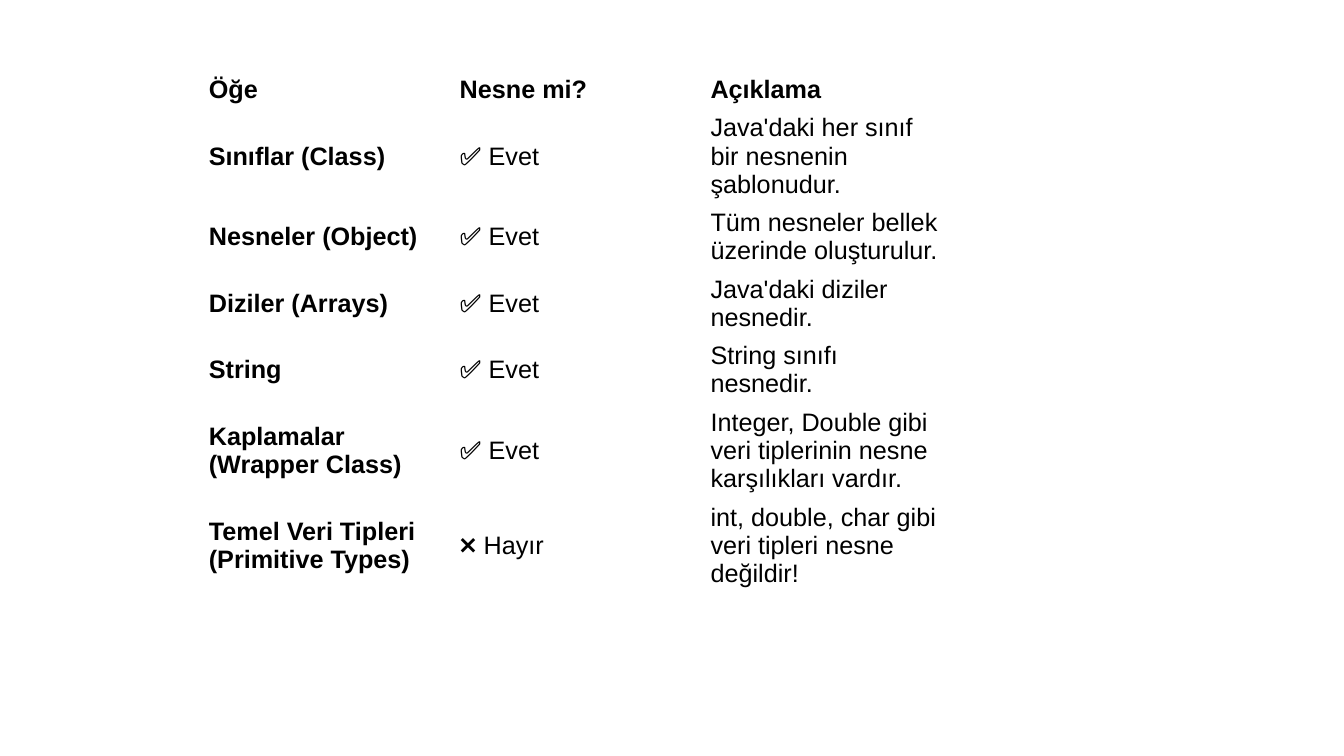
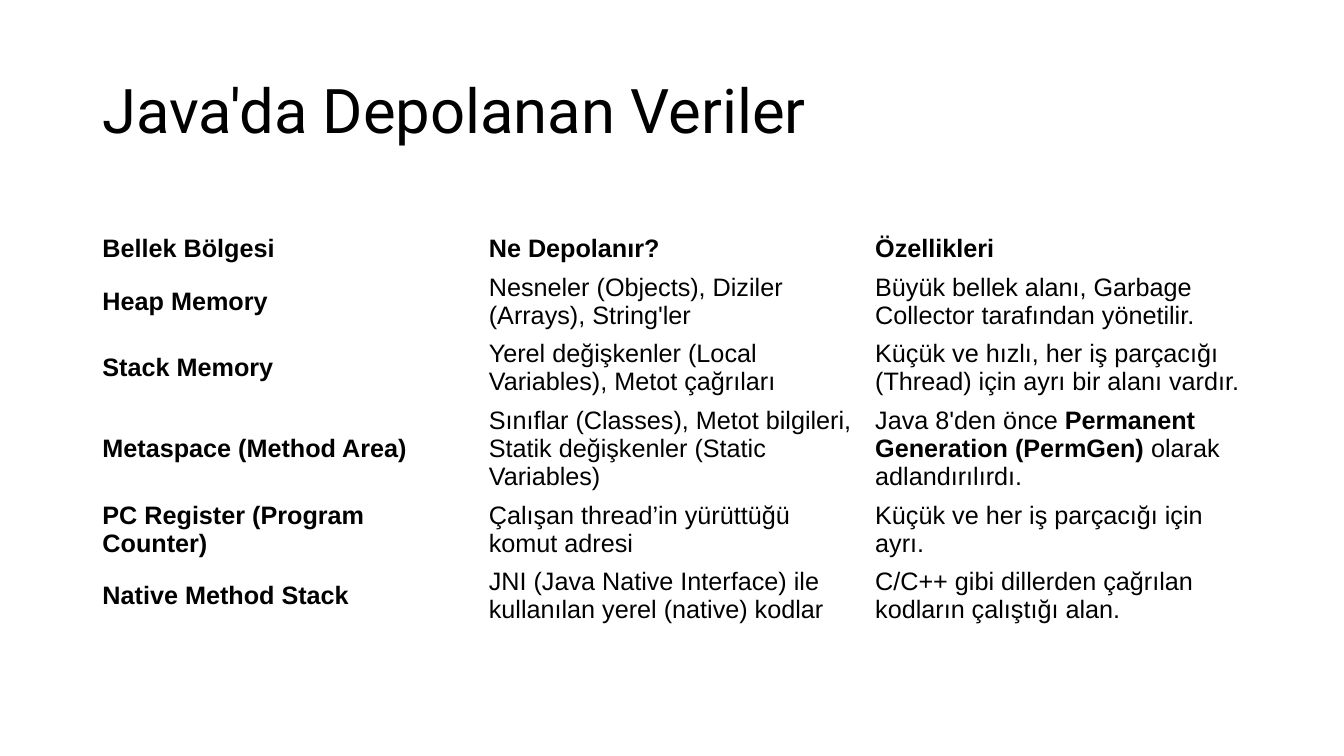
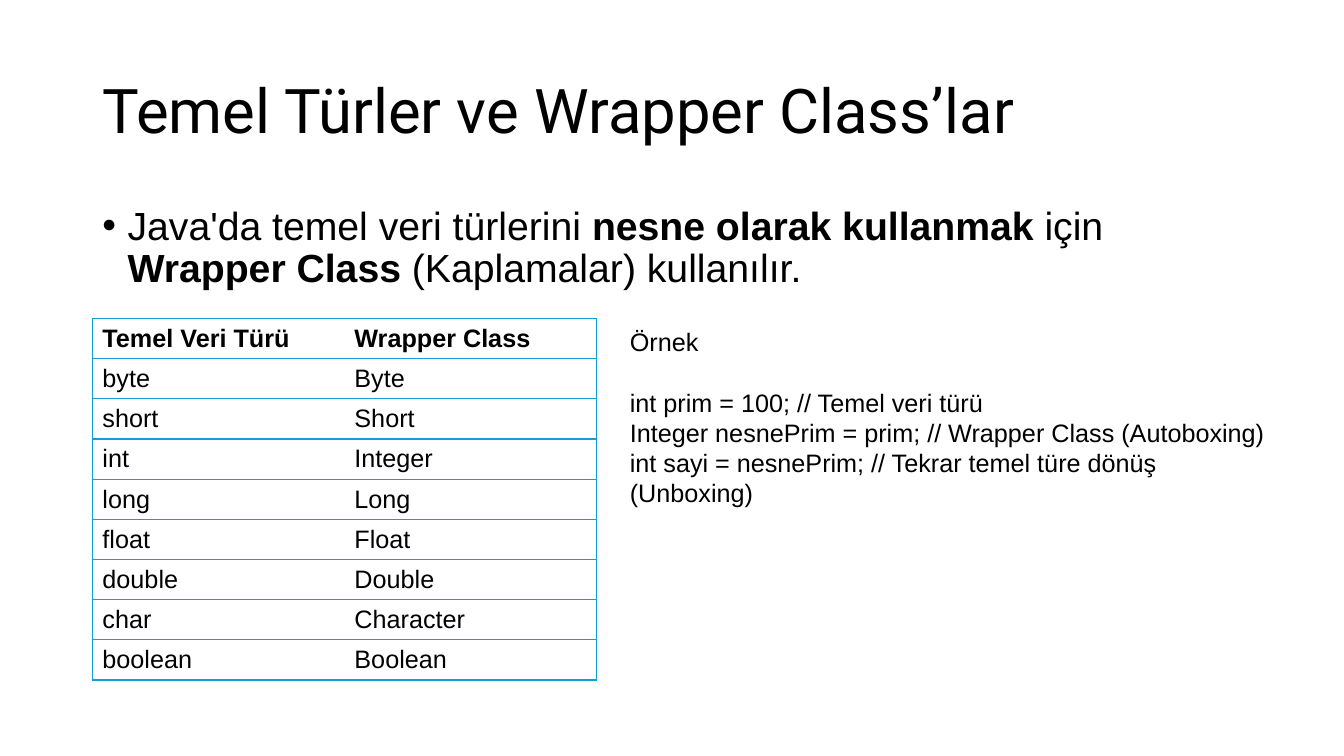
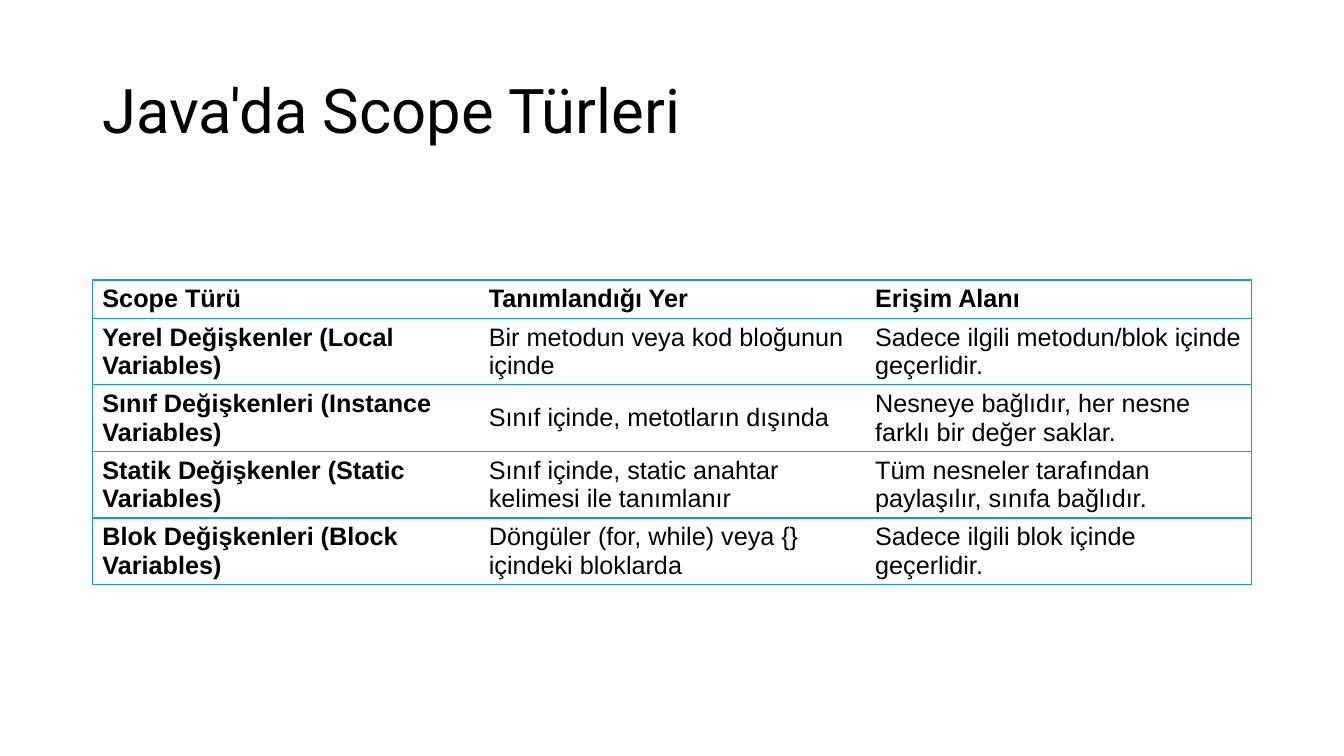
from lxml import etree
from pptx import Presentation
from pptx.dml.color import RGBColor
from pptx.enum.text import MSO_ANCHOR, MSO_AUTO_SIZE, PP_ALIGN
from pptx.oxml.ns import qn
from pptx.util import Pt

BLACK, WHITE, BLUE = "000000", "FFFFFF", "0F9ED5"
BODY_FONT, TITLE_FONT = "Arial", "Roboto"
LEFT, WIDTH = 66, 828
PLAIN_STYLE = "{2D5ABB26-0587-4C30-8999-92F81FD0307C}"
BLANK, TITLE_ONLY, TITLE_AND_BODY = 6, 5, 1

INTRO = ("Java'da temel veri türlerini **nesne olarak kullanmak** için "
         "**Wrapper Class** (Kaplamalar) kullanılır.")
EXAMPLE = [
    "Örnek",
    "int prim = 100; // Temel veri türü",
    "Integer nesnePrim = prim; // Wrapper Class (Autoboxing)",
    "int sayi = nesnePrim; // Tekrar temel türe dönüş (Unboxing)",
]

SLIDES = [
    {
        "layout": BLANK,
        "table": {"left": 142, "top": 50.4, "column": 179.2, "row": 18,
                  "bold_names": True, "lined": False},
        "rows": [
            ("Öğe", "Nesne mi?", "Açıklama"),
            ("Sınıflar (Class)", "✅ Evet", "Java'daki her sınıf bir nesnenin şablonudur."),
            ("Nesneler (Object)", "✅ Evet", "Tüm nesneler bellek üzerinde oluşturulur."),
            ("Diziler (Arrays)", "✅ Evet", "Java'daki diziler nesnedir."),
            ("String", "✅ Evet", "String sınıfı nesnedir."),
            ("Kaplamalar (Wrapper Class)", "✅ Evet",
             "Integer, Double gibi veri tiplerinin nesne karşılıkları vardır."),
            ("Temel Veri Tipleri (Primitive Types)", "❌ Hayır",
             "int, double, char gibi veri tipleri nesne değildir!"),
        ],
    },
    {
        "layout": TITLE_ONLY,
        "title": "Java'da Depolanan Veriler",
        "table": {"left": LEFT, "top": 164.2, "column": WIDTH / 3, "row": 18,
                  "bold_names": True, "lined": False},
        "rows": [
            ("Bellek Bölgesi", "Ne Depolanır?", "Özellikleri"),
            ("Heap Memory", "Nesneler (Objects), Diziler (Arrays), String'ler",
             "Büyük bellek alanı, Garbage Collector tarafından yönetilir."),
            ("Stack Memory", "Yerel değişkenler (Local Variables), Metot çağrıları",
             "Küçük ve hızlı, her iş parçacığı (Thread) için ayrı bir alanı vardır."),
            ("Metaspace (Method Area)",
             "Sınıflar (Classes), Metot bilgileri, Statik değişkenler (Static Variables)",
             "Java 8'den önce **Permanent Generation (PermGen)** olarak adlandırılırdı."),
            ("PC Register (Program Counter)", "Çalışan thread’in yürüttüğü komut adresi",
             "Küçük ve her iş parçacığı için ayrı."),
            ("Native Method Stack",
             "JNI (Java Native Interface) ile kullanılan yerel (native) kodlar",
             "C/C++ gibi dillerden çağrılan kodların çalıştığı alan."),
        ],
    },
    {
        "layout": TITLE_AND_BODY,
        "title": "Temel Türler ve Wrapper Class’lar",
        "intro": INTRO,
        "example": EXAMPLE,
        "table": {"left": LEFT, "top": 227.5, "column": 180, "row": 28.7,
                  "bold_names": False, "lined": True},
        "rows": [
            ("Temel Veri Türü", "Wrapper Class"),
            ("byte", "Byte"),
            ("short", "Short"),
            ("int", "Integer"),
            ("long", "Long"),
            ("float", "Float"),
            ("double", "Double"),
            ("char", "Character"),
            ("boolean", "Boolean"),
        ],
    },
    {
        "layout": TITLE_ONLY,
        "title": "Java'da Scope Türleri",
        "table": {"left": LEFT, "top": 200, "column": WIDTH / 3, "row": 18,
                  "bold_names": True, "lined": True},
        "rows": [
            ("Scope Türü", "Tanımlandığı Yer", "Erişim Alanı"),
            ("Yerel Değişkenler (Local Variables)", "Bir metodun veya kod bloğunun içinde",
             "Sadece ilgili metodun/blok içinde geçerlidir."),
            ("Sınıf Değişkenleri (Instance Variables)", "Sınıf içinde, metotların dışında",
             "Nesneye bağlıdır, her nesne farklı bir değer saklar."),
            ("Statik Değişkenler (Static Variables)",
             "Sınıf içinde, static anahtar kelimesi ile tanımlanır",
             "Tüm nesneler tarafından paylaşılır, sınıfa bağlıdır."),
            ("Blok Değişkenleri (Block Variables)",
             "Döngüler (for, while) veya {} içindeki bloklarda",
             "Sadece ilgili blok içinde geçerlidir."),
        ],
    },
]


def color(value):
    return RGBColor.from_string(value)


def place(shape, left, top, width, height):
    shape.left, shape.top = Pt(left), Pt(top)
    shape.width, shape.height = Pt(width), Pt(height)


def write(paragraph, text, size=18, font=BODY_FONT, bold=False):
    paragraph.alignment = PP_ALIGN.LEFT
    paragraph.font.size = Pt(size)
    paragraph.font.name = font
    paragraph.font.bold = bold
    paragraph.font.color.rgb = color(BLACK)
    for position, part in enumerate(text.split("**")):
        run = paragraph.add_run()
        run.text = part
        if position % 2:
            run.font.bold = True


def add_title(slide, text):
    title = slide.shapes.title
    place(title, LEFT, 28.75, WIDTH, 104.4)
    title.text_frame.vertical_anchor = MSO_ANCHOR.MIDDLE
    heading = title.text_frame.paragraphs[0]
    heading.line_spacing = 0.9
    write(heading, text, 44, TITLE_FONT)


def add_intro(slide, text):
    body = slide.placeholders[1]
    place(body, LEFT, 143.75, WIDTH, 342.6)
    bullet = body.text_frame.paragraphs[0]
    bullet.line_spacing = 0.9
    bullet.space_before = Pt(0)
    write(bullet, text, 28)
    properties = bullet._p.get_or_add_pPr()
    properties.set("marL", str(Pt(18)))
    properties.set("indent", str(-Pt(18)))


def add_example(slide, lines):
    box = slide.shapes.add_textbox(Pt(442.8), Pt(229.7), Pt(468.7), Pt(116.6))
    frame = box.text_frame
    frame.word_wrap = True
    frame.auto_size = MSO_AUTO_SIZE.SHAPE_TO_FIT_TEXT
    for number, line in enumerate(lines):
        paragraph = frame.add_paragraph() if number else frame.paragraphs[0]
        write(paragraph, line)
    frame.paragraphs[0].space_after = Pt(21.6)


def add_borders(cell, sides):
    properties = cell._tc.get_or_add_tcPr()
    for position, side in enumerate(s for s in "LRTB" if s in sides):
        line = etree.Element(qn("a:ln" + side), w=str(Pt(1)))
        fill = etree.SubElement(line, qn("a:solidFill"))
        etree.SubElement(fill, qn("a:srgbClr"), val=BLUE)
        properties.insert(position, line)


def add_grid(slide, rows, left, top, column, row, bold_names, lined):
    count = len(rows[0])
    table = slide.shapes.add_table(len(rows), count, Pt(left), Pt(top),
                                   Pt(column * count), Pt(row * len(rows))).table
    table.first_row = table.horz_banding = False
    table._tbl.tblPr.find(qn("a:tableStyleId")).text = PLAIN_STYLE
    for r, texts in enumerate(rows):
        for c, text in enumerate(texts):
            cell = table.cell(r, c)
            cell.vertical_anchor = MSO_ANCHOR.MIDDLE
            write(cell.text_frame.paragraphs[0], text,
                  bold=r == 0 or (bold_names and c == 0))
            if lined:
                cell.fill.solid()
                cell.fill.fore_color.rgb = color(WHITE)
                add_borders(cell, "TB" + "L" * (c == 0) + "R" * (c == count - 1))
            else:
                cell.fill.background()


def main():
    deck = Presentation()
    deck.slide_width, deck.slide_height = Pt(960), Pt(540)
    for content in SLIDES:
        slide = deck.slides.add_slide(deck.slide_layouts[content["layout"]])
        if "title" in content:
            add_title(slide, content["title"])
        if "intro" in content:
            add_intro(slide, content["intro"])
        add_grid(slide, content["rows"], **content["table"])
        if "example" in content:
            add_example(slide, content["example"])
    deck.save("out.pptx")


if __name__ == "__main__":
    main()
